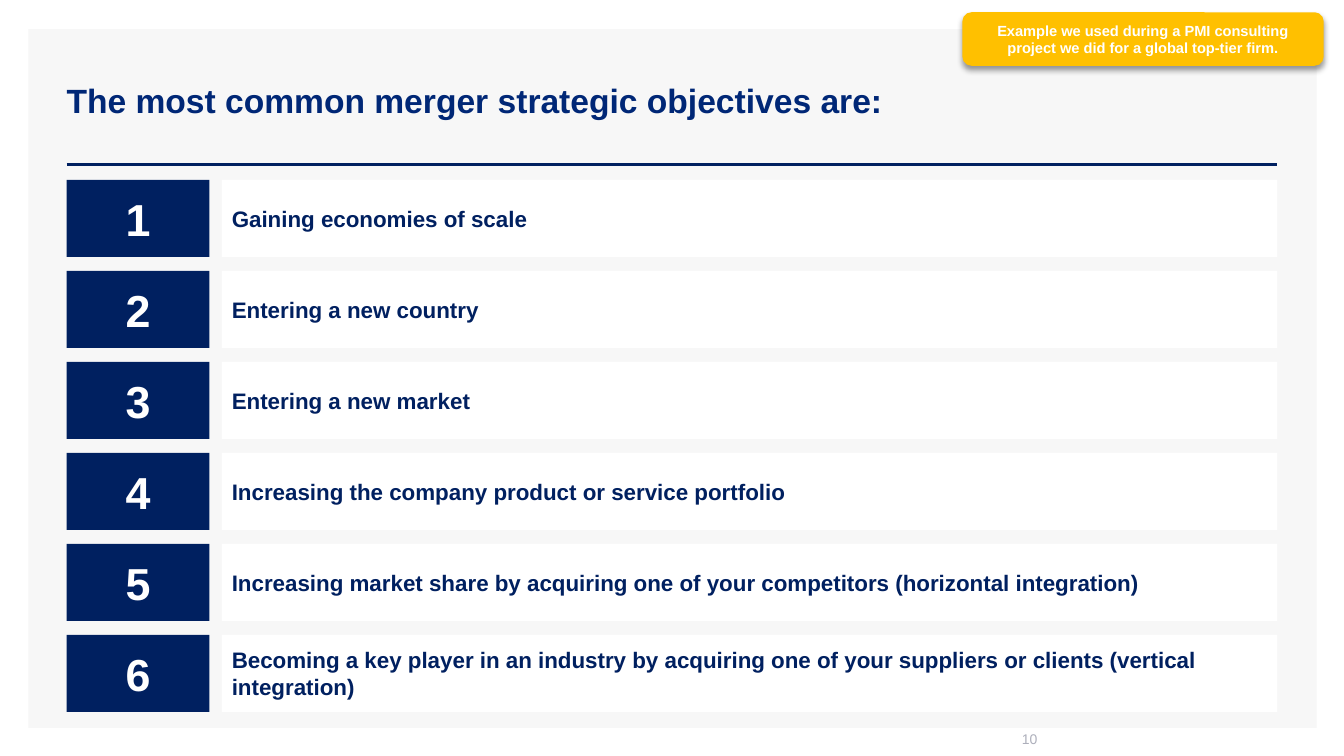
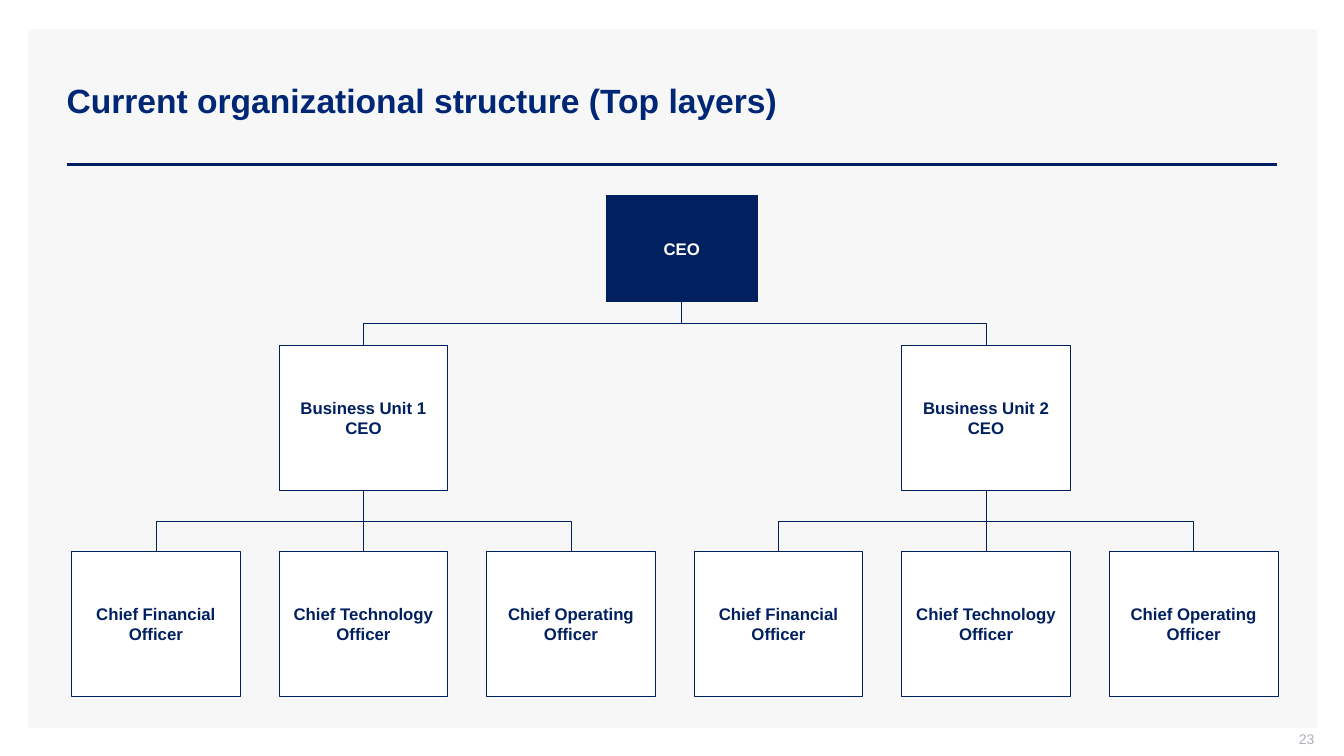
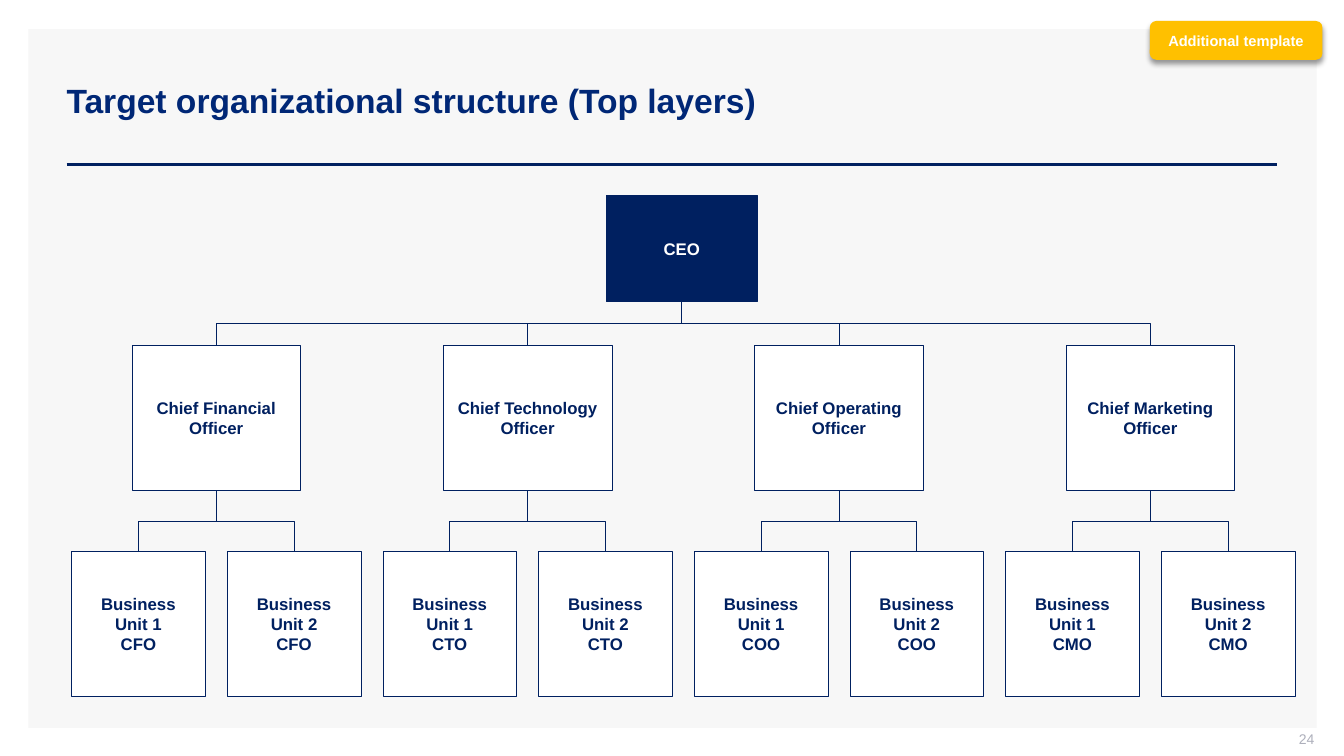
"""Build three merger slides: strategic objectives and two organization charts."""
from dataclasses import dataclass

from pptx import Presentation
from pptx.dml.color import RGBColor
from pptx.enum import shapes, text
from pptx.oxml import parse_xml
from pptx.oxml.ns import nsdecls, qn
from pptx.util import Pt

OBJECTIVES = [
    "Gaining economies of scale",
    "Entering a new country",
    "Entering a new market",
    "Increasing the company product or service portfolio",
    "Increasing market share by acquiring one of your competitors (horizontal integration)",
    "Becoming a key player in an industry by acquiring one of your suppliers or clients (vertical integration)",
]
OFFICERS = ["Chief Financial Officer", "Chief Technology Officer", "Chief Operating Officer"]
CURRENT_UNITS = [(f"Business Unit {number} CEO", OFFICERS) for number in (1, 2)]
TARGET_UNITS = [
    (officer, [["Business\nUnit 1", initials], ["Business\nUnit 2", initials]])
    for officer, initials in zip(OFFICERS + ["Chief Marketing Officer"], ["CFO", "CTO", "COO", "CMO"])
]
SLIDES = [
    dict(title="The most common merger strategic objectives are:", number="10", number_align="LEFT",
         badge="Example we used during a PMI consulting project we did for a global top-tier firm.",
         badge_box=(687.5, 8.8, 258, 38.2), objectives=OBJECTIVES),
    dict(title="Current organizational structure (Top layers)", number="23", number_align="RIGHT",
         units=CURRENT_UNITS, leaf_width=120.5, leaf_step=148.25),
    dict(title="Target organizational structure (Top layers)", number="24", number_align="RIGHT",
         badge="Additional template", badge_box=(821.3, 15, 123.3, 27.7),
         units=TARGET_UNITS, leaf_width=95.5, leaf_step=111.2),
]


@dataclass(frozen=True)
class Theme:
    font: str = "Arial"
    navy: str = "002060"
    title: str = "002776"
    panel: str = "F7F7F7"
    white: str = "FFFFFF"
    amber: str = "FFC000"
    gray: str = "ADAFBB"
    title_size: float = 24
    index_size: float = 32
    objective_size: float = 16
    chart_size: float = 12
    badge_size: float = 10.5
    number_size: float = 10
    hairline: float = 0.5
    rule: float = 2


THEME = Theme()
PANEL = (20.2, 20.9, 920.2, 499)
TITLE = (40.3, 28.8, 872, 85.7)
NUMBER = (722.9, 522, 216, 15.1)
LEFT, RIGHT, RULE_Y = 47.7, 912.3, 117.4
ROW_TOP, ROW_STEP, ROW_HEIGHT = 128.5, 65, 55
INDEX_WIDTH, OBJECTIVE_LEFT = 102, 158.5
CEO = (433.2, 139.4, 107.6, 76)
UNIT_TOP, LEAF_TOP, LEAF_LEFT = 246.9, 394, 51.1
UNIT_WIDTH, NODE_HEIGHT = 120.5, 103.5


def points(values):
    return [Pt(value) for value in values]


def write(shape, paragraphs, size, color, align="CENTER", bold=True, insets=None):
    frame = shape.text_frame
    frame.word_wrap = True
    frame.auto_size = text.MSO_AUTO_SIZE.NONE
    frame.vertical_anchor = text.MSO_ANCHOR.MIDDLE
    if insets:
        frame.margin_left, frame.margin_top, frame.margin_right, frame.margin_bottom = points(insets)
    for index, content in enumerate(paragraphs):
        paragraph = frame.add_paragraph() if index else frame.paragraphs[0]
        paragraph.alignment = getattr(text.PP_ALIGN, align)
        for row, line in enumerate(content.split("\n")):
            if row:
                paragraph.add_line_break()
            run = paragraph.add_run()
            run.text = line
            run.font.name, run.font.size, run.font.bold = THEME.font, Pt(size), bold
            run.font.color.rgb = RGBColor.from_string(color)


def add_box(slide, box, fill, outline=None, kind=shapes.MSO_SHAPE.RECTANGLE):
    shape = slide.shapes.add_shape(kind, *points(box))
    shape.shadow.inherit = False
    shape.fill.solid()
    shape.fill.fore_color.rgb = RGBColor.from_string(fill)
    if outline:
        shape.line.color.rgb = RGBColor.from_string(outline)
        shape.line.width = Pt(THEME.hairline)
    else:
        shape.line.fill.background()
    return shape


def add_line(slide, kind, ends, width):
    line = slide.shapes.add_connector(kind, *points(ends))
    line.line.color.rgb = RGBColor.from_string(THEME.navy)
    line.line.width = Pt(width)
    line.element.spPr.append(parse_xml(f"<a:effectLst {nsdecls('a')}/>"))
    return line


def decorate_layout(layout, slide):
    for placeholder in list(layout.placeholders):
        if placeholder.placeholder_format.type != shapes.PP_PLACEHOLDER.TITLE:
            layout.shapes.element.remove(placeholder.element)
    panel = add_box(slide, PANEL, THEME.panel)
    rule = add_line(slide, shapes.MSO_CONNECTOR.STRAIGHT, (LEFT, RULE_Y, RIGHT, RULE_Y), THEME.rule)
    for position, part in enumerate((panel, rule), start=2):
        layout.shapes.element.insert(position, part.element)


def add_frame(slide, content):
    title = slide.shapes.title
    title.left, title.top, title.width, title.height = points(TITLE)
    write(title, [content["title"]], THEME.title_size, THEME.title, "LEFT")
    number = slide.shapes.add_textbox(*points(NUMBER))
    write(number, [content["number"]], THEME.number_size, THEME.gray,
          content["number_align"], False, (7.2, 0, 0, 3.6))


def add_badge(slide, label, box):
    badge = add_box(slide, box, THEME.amber, kind=shapes.MSO_SHAPE.ROUNDED_RECTANGLE)
    badge.element.spPr.find(qn("a:effectLst")).append(parse_xml(
        f'<a:outerShdw {nsdecls("a")} blurRad="{Pt(4)}" dist="{Pt(3)}" dir="5400000" rotWithShape="0">'
        '<a:srgbClr val="000000"><a:alpha val="40000"/></a:srgbClr></a:outerShdw>'))
    write(badge, [label], THEME.badge_size, THEME.white)


def add_objectives(slide, objectives):
    for index, objective in enumerate(objectives):
        top = ROW_TOP + index * ROW_STEP
        index_box = add_box(slide, (LEFT, top, INDEX_WIDTH, ROW_HEIGHT), THEME.navy)
        write(index_box, [str(index + 1)], THEME.index_size, THEME.white)
        bar = add_box(slide, (OBJECTIVE_LEFT, top, RIGHT - OBJECTIVE_LEFT, ROW_HEIGHT), THEME.white)
        write(bar, [objective], THEME.objective_size, THEME.navy, "LEFT")


def add_node(slide, label, box, fill=THEME.white, color=THEME.navy):
    node = add_box(slide, box, fill, THEME.navy)
    paragraphs = [label] if isinstance(label, str) else label
    write(node, paragraphs, THEME.chart_size, color, insets=(1.5, 1.5, 1.5, 1.5))
    return node


def join(slide, parent, child):
    start = parent.left + parent.width // 2
    end = child.left + child.width // 2
    top = parent.top + parent.height
    straight = abs(end - start) < Pt(0.5)
    kind = shapes.MSO_CONNECTOR.STRAIGHT if straight else shapes.MSO_CONNECTOR.ELBOW
    line = add_line(slide, kind, (0, 0, 0, 0), THEME.hairline)
    line.begin_connect(parent, 2)
    line.end_connect(child, 0)
    if straight:
        return
    drop, reach = child.top - top, abs(end - start)
    line.left, line.top = (start + end - drop) // 2, (top + child.top - reach) // 2
    line.width, line.height = drop, reach
    transform = line.element.spPr.find(qn("a:xfrm"))
    transform.set("rot", "16200000" if end > start else "5400000")
    transform.set("flipH", "1" if end > start else "0")


def add_organization(slide, units, leaf_width, leaf_step):
    ceo = add_node(slide, "CEO", CEO, THEME.navy, THEME.white)
    left = LEAF_LEFT
    for label, leaves in units:
        center = left + ((len(leaves) - 1) * leaf_step + leaf_width) / 2
        unit = add_node(slide, label, (center - UNIT_WIDTH / 2, UNIT_TOP, UNIT_WIDTH, NODE_HEIGHT))
        join(slide, ceo, unit)
        for leaf_label in leaves:
            leaf = add_node(slide, leaf_label, (left, LEAF_TOP, leaf_width, NODE_HEIGHT))
            join(slide, unit, leaf)
            left += leaf_step


def main():
    presentation = Presentation()
    presentation.slide_width, presentation.slide_height = Pt(960), Pt(540)
    layout = presentation.slide_layouts[5]
    for index, content in enumerate(SLIDES):
        slide = presentation.slides.add_slide(layout)
        if index == 0:
            decorate_layout(layout, slide)
        add_frame(slide, content)
        if "objectives" in content:
            add_objectives(slide, content["objectives"])
        else:
            add_organization(slide, content["units"], content["leaf_width"], content["leaf_step"])
        if "badge" in content:
            add_badge(slide, content["badge"], content["badge_box"])
    presentation.save("out.pptx")


if __name__ == "__main__":
    main()
